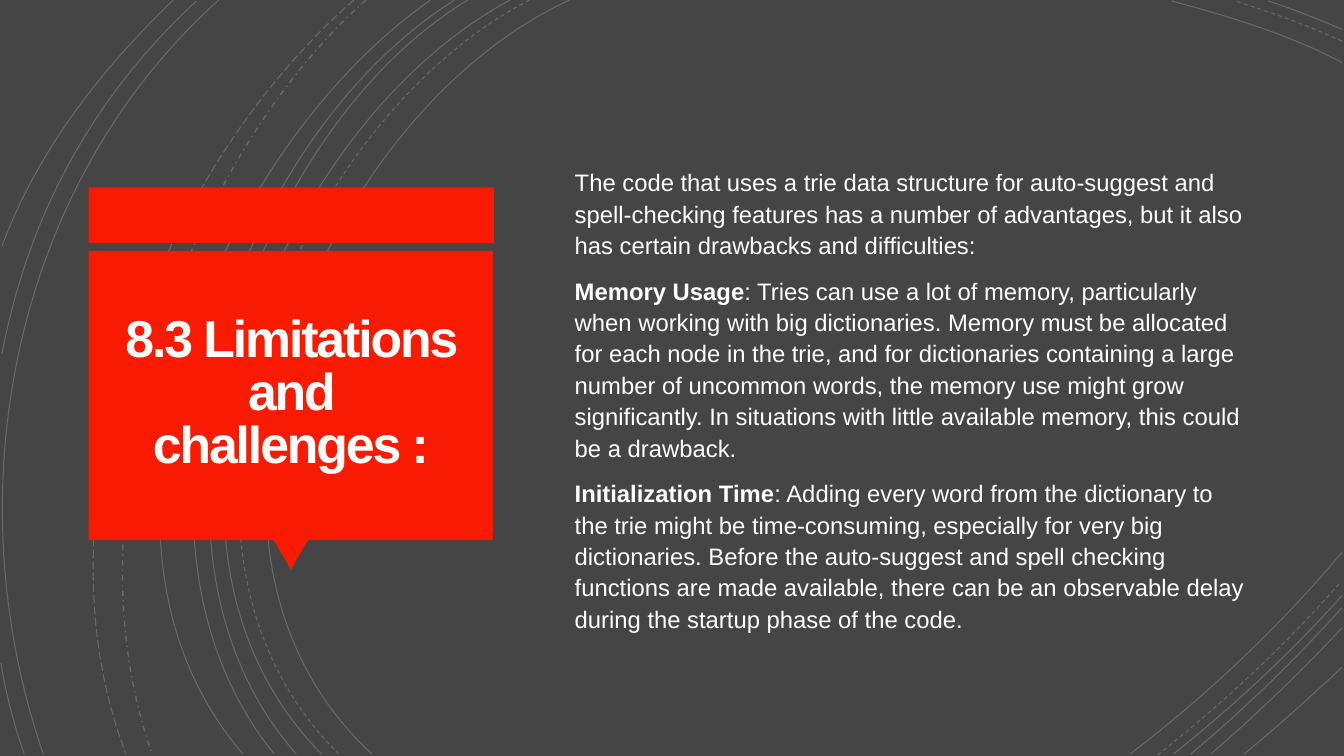
from dataclasses import dataclass

from pptx import Presentation
from pptx import util as u
from pptx.dml.color import RGBColor
from pptx.enum import dml, shapes, text
from pptx.oxml.ns import qn
from lxml import etree


@dataclass(frozen=True)
class Theme:
    background: str = "454545"
    accent: str = "F81B02"
    title_color: str = "FFFEFF"
    body_color: str = "FFFFFF"
    arc_color: str = "FFFFFF"
    arc_opacity: int = 20
    arc_weight: float = 0.75
    font: str = "Arial"
    title_size: int = 37
    body_size: int = 17


THEME = Theme()
SOLID = dml.MSO_LINE.SOLID
DASH = dml.MSO_LINE.DASH
DASH_DOT = dml.MSO_LINE.DASH_DOT
LONG_DASH = dml.MSO_LINE.LONG_DASH

# Background arcs: dash style, then start, two control points and end in inches
ARCS = [
    # Large arcs on the left
    (SOLID, (5.65, 0), (3.15, 1.15), (1.43, 5.4), (3.69, 7.48)),
    (DASH, (5.25, 0), (2.85, 1.25), (1.23, 5.37), (3.36, 7.48)),
    (SOLID, (5.06, 0), (2.7, 1.27), (1.1, 5.37), (3.19, 7.48)),
    (SOLID, (4.64, 0), (2.44, 1.33), (1.1, 5.41), (2.94, 7.48)),
    (SOLID, (4.51, 0), (2.31, 1.38), (0.97, 5.33), (2.72, 7.48)),
    (SOLID, (4.27, 0), (2.17, 1.47), (0.53, 5.29), (2.41, 7.48)),
    (DASH_DOT, (3.63, 0), (1.76, 1.66), (0.65, 5.09), (1.51, 7.48)),
    (LONG_DASH, (3.51, 0), (1.57, 1.69), (0.29, 4.99), (1.25, 7.48)),
    (SOLID, (2.17, 0), (0.11, 1.85), (-0.46, 4.9), (0.43, 7.48)),
    (SOLID, (1.95, 0.01), (0.92, 0.96), (0.28, 2.14), (0.02, 3.51)),
    (SOLID, (0.01, 6.58), (0.06, 6.89), (0.14, 7.19), (0.24, 7.48)),
    (SOLID, (1.72, 0), (1, 0.69), (0.37, 1.5), (0.02, 2.44)),
    # Top right corner
    (SOLID, (13.31, 0.62), (12.78, 0.34), (12.18, 0.16), (11.62, 0.01)),
    (DASH, (13.31, 0.41), (12.97, 0.25), (12.6, 0.12), (12.25, 0.01)),
    (SOLID, (13.31, 0.29), (13.07, 0.19), (12.83, 0.09), (12.58, 0.01)),
    # Bottom right corner
    (SOLID, (11.21, 7.48), (11.97, 6.9), (12.69, 6.22), (13.31, 5.48)),
    (DASH, (11.48, 7.49), (12.13, 6.98), (12.75, 6.4), (13.3, 5.77)),
    (SOLID, (11.64, 7.48), (12.23, 7.01), (12.8, 6.48), (13.31, 5.91)),
    (SOLID, (11.81, 7.48), (12.34, 7.04), (12.84, 6.55), (13.31, 6.03)),
    (SOLID, (12.01, 7.48), (12.46, 7.09), (12.9, 6.67), (13.31, 6.23)),
    (SOLID, (12.34, 7.48), (12.67, 7.21), (12.99, 6.92), (13.31, 6.62)),
]

TITLE = "8.3 Limitations and challenges :"
# Body paragraphs: bold lead, then regular text
BODY = [
    ("", "The code that uses a trie data structure for auto-suggest and "
         "spell-checking features has a number of advantages, but it also "
         "has certain drawbacks and difficulties:"),
    ("Memory Usage",
     ": Tries can use a lot of memory, particularly when working with big "
     "dictionaries. Memory must be allocated for each node in the trie, and "
     "for dictionaries containing a large number of uncommon words, the "
     "memory use might grow significantly. In situations with little "
     "available memory, this could be a drawback."),
    ("Initialization Time",
     ": Adding every word from the dictionary to the trie might be "
     "time-consuming, especially for very big dictionaries. Before the "
     "auto-suggest and spell checking functions are made available, there "
     "can be an observable delay during the startup phase of the code."),
]


def set_format(target, values):
    for name, value in values.items():
        setattr(target, name, value)


def add_arc(slide, dash, *curve):
    first, *rest = [tuple(map(u.Inches, point)) for point in curve]
    builder = slide.shapes.build_freeform(*first)
    builder.add_line_segments(rest, close=False)
    shape = builder.convert_to_shape()
    # Turn the three segments into one cubic curve
    segments = list(shape.element.iter(qn("a:lnTo")))
    bezier = etree.SubElement(segments[0].getparent(), qn("a:cubicBezTo"))
    for segment in segments:
        bezier.append(segment[0])
        segment.getparent().remove(segment)
    shape.shadow.inherit = False
    shape.fill.background()
    weight = 1 if dash == DASH_DOT else THEME.arc_weight
    shape.line.color.rgb = RGBColor.from_string(THEME.arc_color)
    set_format(shape.line, {"width": u.Pt(weight), "dash_style": dash})
    # Line transparency
    color = shape.line.fill._xPr.find(".//" + qn("a:srgbClr"))
    etree.SubElement(color, qn("a:alpha"), val=str(THEME.arc_opacity * 1000))


def add_block(slide, kind, box, color, rotation=0):
    shape = slide.shapes.add_shape(kind, *map(u.Inches, box))
    shape.shadow.inherit = False
    shape.fill.solid()
    shape.fill.fore_color.rgb = RGBColor.from_string(color)
    shape.line.fill.background()
    shape.rotation = rotation


def prepare_placeholder(shape, box, margins):
    """Place a placeholder in front of the other shapes, text centred vertically."""
    set_format(shape, dict(zip(("left", "top", "width", "height"),
                               map(u.Inches, box))))
    shape.element.getparent().append(shape.element)
    frame = shape.text_frame
    set_format(frame, {"word_wrap": True,
                       "auto_size": text.MSO_AUTO_SIZE.NONE,
                       "vertical_anchor": text.MSO_ANCHOR.MIDDLE})
    sides = ("margin_left", "margin_top", "margin_right", "margin_bottom")
    set_format(frame, dict(zip(sides, map(u.Inches, margins))))
    return frame


def add_run(paragraph, words, size, color, bold):
    run = paragraph.add_run()
    run.text = words
    set_format(run.font, {"name": THEME.font, "size": u.Pt(size), "bold": bold})
    run.font.color.rgb = RGBColor.from_string(color)
    return run


def fill_title(shape):
    frame = prepare_placeholder(shape, (0.97, 2.57, 3.83, 2.69), [0.25] * 4)
    paragraph = frame.paragraphs[0]
    set_format(paragraph, {"alignment": text.PP_ALIGN.CENTER, "line_spacing": 0.85})
    run = add_run(paragraph, TITLE, THEME.title_size, THEME.title_color, True)
    run.font._element.set("spc", "-150")


def fill_body(shape):
    frame = prepare_placeholder(shape, (5.6, 0.88, 6.87, 5.74),
                                (0.1, 0.47, 0.1, 0.05))
    for index, (lead, words) in enumerate(BODY):
        paragraph = frame.add_paragraph() if index else frame.paragraphs[0]
        set_format(paragraph, {"alignment": text.PP_ALIGN.LEFT, "line_spacing": 1.1,
                               "space_before": u.Pt(10 if index else 0)})
        # No bullet, no indent
        properties = paragraph._p.get_or_add_pPr()
        properties.set("marL", "0")
        properties.set("indent", "0")
        etree.SubElement(properties, qn("a:buNone"))
        if lead:
            add_run(paragraph, lead, THEME.body_size, THEME.body_color, True)
        add_run(paragraph, words, THEME.body_size, THEME.body_color, False)


def main():
    presentation = Presentation()
    set_format(presentation, {"slide_width": u.Inches(13.33),
                              "slide_height": u.Inches(7.5)})
    slide = presentation.slides.add_slide(presentation.slide_layouts[1])
    rectangle = shapes.MSO_SHAPE.RECTANGLE
    triangle = shapes.MSO_SHAPE.ISOSCELES_TRIANGLE

    # Background
    slide.background.fill.solid()
    slide.background.fill.fore_color.rgb = RGBColor.from_string(THEME.background)
    add_block(slide, rectangle, (0, 0, 13.33, 7.48), THEME.background)
    for arc in ARCS:
        add_arc(slide, *arc)

    # Title callout
    add_block(slide, rectangle, (0.88, 1.86, 4.02, 0.55), THEME.accent)
    add_block(slide, triangle, (2.71, 5.35, 0.35, 0.3), THEME.accent, 180)
    add_block(slide, rectangle, (0.88, 2.49, 4.01, 2.87), THEME.accent)

    # Text
    fill_title(slide.shapes.title)
    fill_body(slide.placeholders[1])
    presentation.save("out.pptx")


if __name__ == "__main__":
    main()
